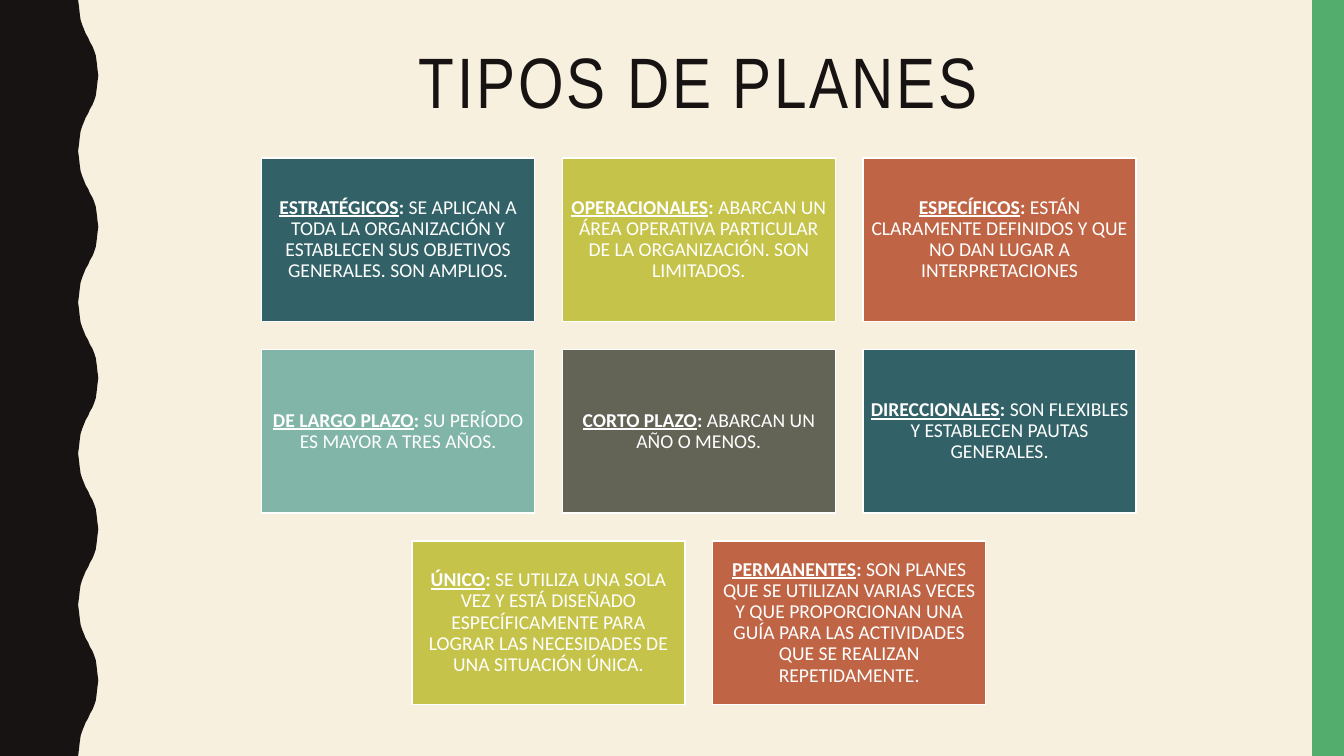
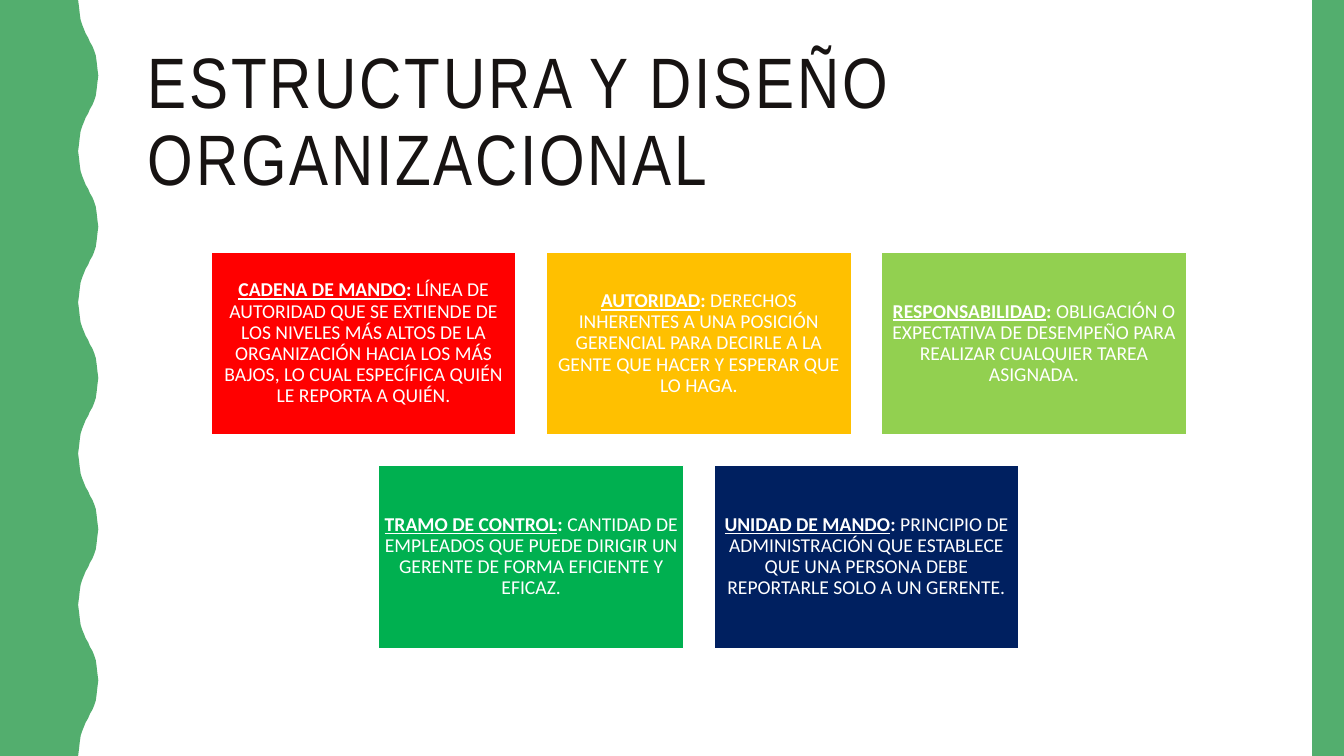
from pptx import Presentation
from pptx.dml.color import RGBColor
from pptx.enum.shapes import MSO_SHAPE
from pptx.enum.text import MSO_ANCHOR, MSO_AUTO_SIZE, PP_ALIGN
from pptx.util import Pt

RECTANGLE = MSO_SHAPE.RECTANGLE
LEFT, CENTER = PP_ALIGN.LEFT, PP_ALIGN.CENTER
TOP, MIDDLE = MSO_ANCHOR.TOP, MSO_ANCHOR.MIDDLE

# Shared measures: 120 px to the inch
EMU_PER_PX = 7620
SLIDE_WIDTH, SLIDE_HEIGHT = 1600, 900
TITLE_BOX = (164, 50, 1336, 196)
BAND_WIDTH = 38
GRID_CENTER = 832
CARD_INSET = 7
COLUMNS = 3

# Left wave: half a period as (x, y), mirrored for the other half
WAVE_PERIOD = 180
HALF_WAVE = [(93, 0), (94, 8), (95, 17), (96, 24), (98, 30), (100, 35), (102, 40),
             (105, 45), (107, 50), (110, 55), (112, 60), (114, 66), (115, 73),
             (116, 82), (117, 90)]

TITLE_FONT, CARD_FONT = "Arial Narrow", "Calibri"
COLORS = {
    "ink": "171312", "cream": "F7F0DF", "white": "FFFFFF", "accent": "53AE6E",
    "teal": "326267", "lime": "C5C34A", "rust": "BF6546", "mint": "81B5A8",
    "olive": "636455", "red": "FF0000", "amber": "FFC000", "light green": "92D050",
    "green": "00B050", "navy": "002060",
}

# Cards: colour, term, definition
PLAN_CARDS = [
    ("teal", "ESTRATÉGICOS",
     "SE APLICAN A TODA LA ORGANIZACIÓN Y ESTABLECEN SUS OBJETIVOS GENERALES. "
     "SON AMPLIOS."),
    ("lime", "OPERACIONALES",
     "ABARCAN UN ÁREA OPERATIVA PARTICULAR DE LA ORGANIZACIÓN. SON LIMITADOS."),
    ("rust", "ESPECÍFICOS",
     "ESTÁN CLARAMENTE DEFINIDOS Y QUE NO DAN LUGAR A INTERPRETACIONES"),
    ("mint", "DE LARGO PLAZO", "SU PERÍODO ES MAYOR A TRES AÑOS."),
    ("olive", "CORTO PLAZO", "ABARCAN UN AÑO O MENOS."),
    ("teal", "DIRECCIONALES", "SON FLEXIBLES Y ESTABLECEN PAUTAS GENERALES."),
    ("lime", "ÚNICO",
     "SE UTILIZA UNA SOLA VEZ Y ESTÁ DISEÑADO ESPECÍFICAMENTE PARA LOGRAR LAS "
     "NECESIDADES DE UNA SITUACIÓN ÚNICA."),
    ("rust", "PERMANENTES",
     "SON PLANES QUE SE UTILIZAN VARIAS VECES Y QUE PROPORCIONAN UNA GUÍA PARA "
     "LAS ACTIVIDADES QUE SE REALIZAN REPETIDAMENTE."),
]
STRUCTURE_CARDS = [
    ("red", "CADENA DE MANDO",
     "LÍNEA DE AUTORIDAD QUE SE EXTIENDE DE LOS NIVELES MÁS ALTOS DE LA "
     "ORGANIZACIÓN HACIA LOS MÁS BAJOS, LO CUAL ESPECÍFICA QUIÉN LE REPORTA A QUIÉN."),
    ("amber", "AUTORIDAD",
     "DERECHOS INHERENTES A UNA POSICIÓN GERENCIAL PARA DECIRLE A LA GENTE QUE "
     "HACER Y ESPERAR QUE LO HAGA."),
    ("light green", "RESPONSABILIDAD",
     "OBLIGACIÓN O EXPECTATIVA DE DESEMPEÑO PARA REALIZAR CUALQUIER TAREA ASIGNADA."),
    ("green", "TRAMO DE CONTROL",
     "CANTIDAD DE EMPLEADOS QUE PUEDE DIRIGIR UN GERENTE DE FORMA EFICIENTE Y EFICAZ."),
    ("navy", "UNIDAD DE MANDO",
     "PRINCIPIO DE ADMINISTRACIÓN QUE ESTABLECE QUE UNA PERSONA DEBE REPORTARLE "
     "SOLO A UN GERENTE."),
]


def px(length):
    return round(length * EMU_PER_PX)


def color(name):
    return RGBColor.from_string(COLORS[name])


def paint(shape, fill, line=None):
    shape.shadow.inherit = False
    shape.fill.solid()
    shape.fill.fore_color.rgb = color(fill)
    if line:
        shape.line.color.rgb = color(line)
        shape.line.width = Pt(1)
    else:
        shape.line.fill.background()


def add_rectangle(slide, left, top, width, height, fill, line=None):
    shape = slide.shapes.add_shape(RECTANGLE, px(left), px(top), px(width), px(height))
    paint(shape, fill, line)
    return shape


def format_paragraph(paragraph, font_name, size, font_color, alignment):
    paragraph.alignment = alignment
    paragraph.line_spacing = 0.9
    paragraph.font.name = font_name
    paragraph.font.size = Pt(size)
    paragraph.font.color.rgb = color(font_color)


def add_wave(slide, fill):
    period = HALF_WAVE + [(x, WAVE_PERIOD - y) for x, y in HALF_WAVE[-2:0:-1]]
    edge = [(x, start + y) for start in range(0, SLIDE_HEIGHT, WAVE_PERIOD)
            for x, y in period]
    builder = slide.shapes.build_freeform(0, 0, scale=EMU_PER_PX)
    builder.add_line_segments(edge + [(HALF_WAVE[0][0], SLIDE_HEIGHT), (0, SLIDE_HEIGHT)])
    paint(builder.convert_to_shape(), fill)


def set_title(slide, text, alignment, anchor):
    title = slide.shapes.title
    title.left, title.top, title.width, title.height = map(px, TITLE_BOX)
    frame = title.text_frame
    frame.text = text
    frame.word_wrap = True
    frame.auto_size = MSO_AUTO_SIZE.NONE
    frame.vertical_anchor = anchor
    paragraph = frame.paragraphs[0]
    format_paragraph(paragraph, TITLE_FONT, 51, "ink", alignment)
    # Letter spacing of 2 pt
    paragraph.runs[0].font._element.set("spc", "200")


def add_slide(presentation, background, wave, title, alignment, anchor):
    slide = presentation.slides.add_slide(presentation.slide_layouts[5])
    slide.background.fill.solid()
    slide.background.fill.fore_color.rgb = color(background)
    add_wave(slide, wave)
    add_rectangle(slide, SLIDE_WIDTH - BAND_WIDTH, 0, BAND_WIDTH, SLIDE_HEIGHT, "accent")
    set_title(slide, title, alignment, anchor)
    return slide


def add_card(slide, left, top, width, height, fill, term, definition):
    card = add_rectangle(slide, left, top, width, height, fill, "white")
    frame = card.text_frame
    frame.word_wrap = True
    frame.vertical_anchor = MIDDLE
    frame.margin_left = frame.margin_right = px(CARD_INSET)
    frame.margin_top = frame.margin_bottom = px(CARD_INSET)
    paragraph = frame.paragraphs[0]
    format_paragraph(paragraph, CARD_FONT, 14, "white", CENTER)
    for text, bold, underline in ((term, True, True), (":", True, False),
                                  (" " + definition, False, False)):
        run = paragraph.add_run()
        run.text = text
        run.font.bold = bold
        run.font.underline = underline


def add_card_grid(slide, cards, top, width, height, gap):
    """Rows of up to three cards, each row centred."""
    for start in range(0, len(cards), COLUMNS):
        row = cards[start:start + COLUMNS]
        left = GRID_CENTER - (len(row) * (width + gap) - gap) / 2
        for column, card in enumerate(row):
            add_card(slide, left + column * (width + gap), top, width, height, *card)
        top += height + gap


def main():
    presentation = Presentation()
    presentation.slide_width = px(SLIDE_WIDTH)
    presentation.slide_height = px(SLIDE_HEIGHT)

    # Types of plans
    slide = add_slide(presentation, "cream", "ink", "TIPOS DE PLANES", CENTER, TOP)
    add_card_grid(slide, PLAN_CARDS, top=188, width=325, height=195, gap=33)

    # Organisational structure
    slide = add_slide(presentation, "white", "accent",
                      "ESTRUCTURA Y DISEÑO ORGANIZACIONAL", LEFT, MIDDLE)
    add_card_grid(slide, STRUCTURE_CARDS, top=300, width=363, height=218, gap=36)

    presentation.save("out.pptx")


if __name__ == "__main__":
    main()
